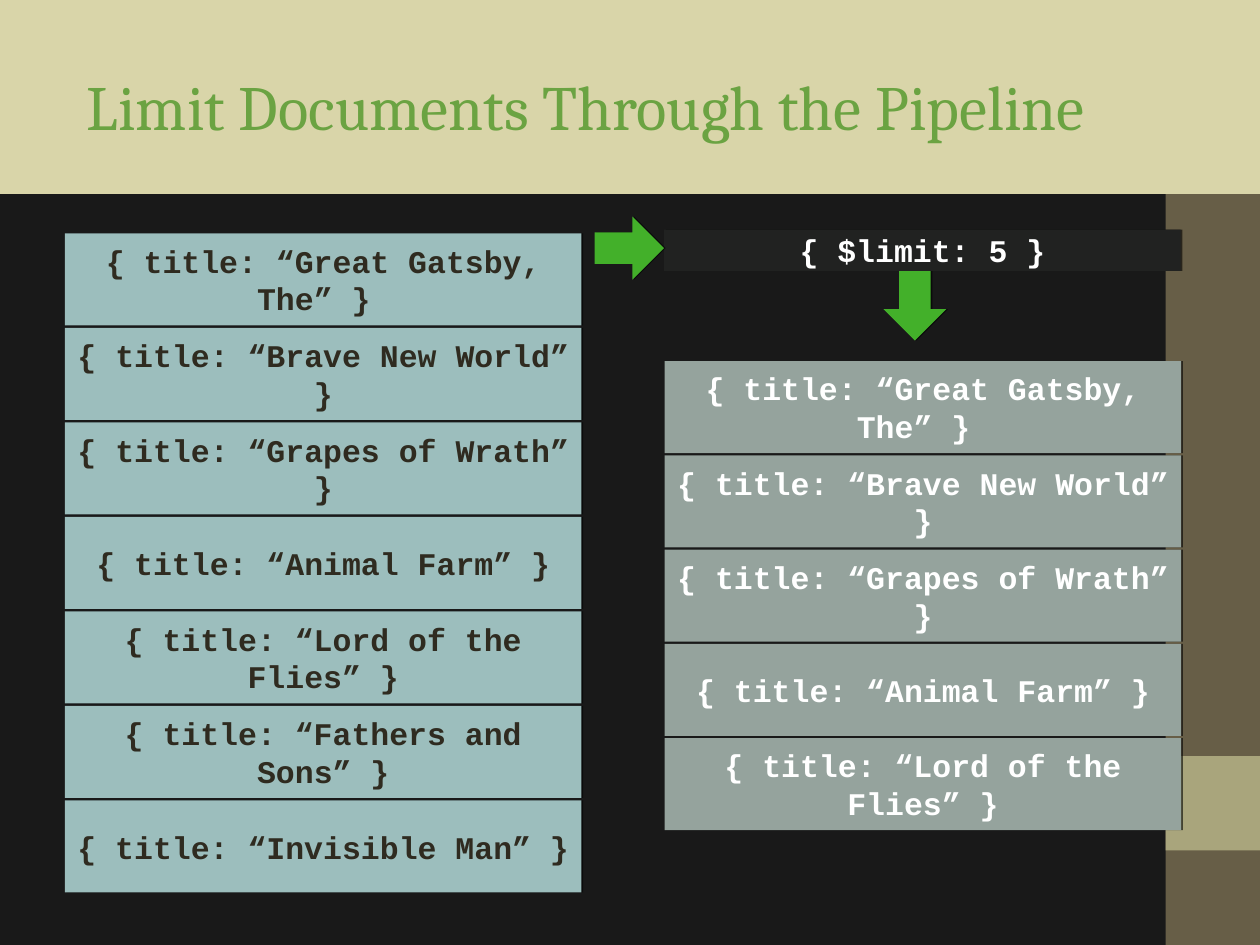
import pptx
import pptx.dml.color
import pptx.enum.shapes
import pptx.enum.text
import pptx.util
from lxml import etree

Pt = pptx.util.Pt
SHAPE = pptx.enum.shapes.MSO_SHAPE
ALIGN = pptx.enum.text.PP_ALIGN
ANCHOR = pptx.enum.text.MSO_ANCHOR
DRAWING = "{http://schemas.openxmlformats.org/drawingml/2006/main}"


def rgb(value):
    return pptx.dml.color.RGBColor.from_string(value)


class PipelineSlide:
    heading_font = "Cambria"
    code_font = "Courier New"
    row_width = 295.2
    row_height = 52.6

    def __init__(self, slide, background):
        self.slide = slide
        slide.background.fill.solid()
        slide.background.fill.fore_color.rgb = rgb(background)

    def block(self, left, top, width, height, color, kind=SHAPE.RECTANGLE, shadow=True):
        block = self.slide.shapes.add_shape(kind, Pt(left), Pt(top), Pt(width), Pt(height))
        block.fill.solid()
        block.fill.fore_color.rgb = rgb(color)
        block.line.fill.background()
        block.shadow.inherit = False
        if shadow:
            effects = block._element.spPr.find(DRAWING + "effectLst")
            outer = etree.SubElement(effects, DRAWING + "outerShdw", blurRad="0", dist="12700", dir="0")
            tint = etree.SubElement(outer, DRAWING + "srgbClr", val="000000")
            etree.SubElement(tint, DRAWING + "alpha", val="60000")
        return block

    def style(self, paragraph, font, size, color, bold=False):
        for run in paragraph.runs:
            run.font.name = font
            run.font.size = Pt(size)
            run.font.bold = bold
            run.font.color.rgb = rgb(color)

    def heading(self, text, left, top, width, height, color):
        heading = self.slide.shapes.add_textbox(Pt(left), Pt(top), Pt(width), Pt(height))
        frame = heading.text_frame
        frame.word_wrap = True
        frame.vertical_anchor = ANCHOR.MIDDLE
        frame.margin_left = frame.margin_right = frame.margin_top = frame.margin_bottom = 0
        frame.text = text
        self.style(frame.paragraphs[0], self.heading_font, 36, color)

    def code(self, text, left, top, height, fill, color):
        frame = self.block(left, top, self.row_width, height, fill).text_frame
        frame.word_wrap = True
        frame.vertical_anchor = ANCHOR.MIDDLE
        frame.text = text
        frame.paragraphs[0].alignment = ALIGN.CENTER
        self.style(frame.paragraphs[0], self.code_font, 18, color, True)

    def documents(self, titles, left, top, pitch, fill, color):
        for index, title in enumerate(titles):
            self.code(title, left, top + index * pitch, self.row_height, fill, color)

    def arrow(self, left, top, rotation=0):
        arrow = self.block(left, top, 39.6, 36, "43B02A", SHAPE.RIGHT_ARROW)
        arrow.rotation = rotation


def main():
    deck = pptx.Presentation()
    deck.slide_width, deck.slide_height = Pt(720), Pt(540)
    page = PipelineSlide(deck.slides.add_slide(deck.slide_layouts[6]), "191919")

    page.block(666, 0, 54, 540, "675E47", shadow=False)
    page.block(666, 432, 54, 54, "A9A57C", shadow=False)
    page.block(0, 0, 720, 110.9, "D9D5A9")
    page.heading("Limit Documents Through the Pipeline", 49.7, 26.6, 622, 67, "6BA342")

    books = [
        "{ title: “Great Gatsby, The” } ",
        "{ title: “Brave New World” }",
        "{ title: “Grapes of Wrath” }",
        "{ title: “Animal Farm” }",
        "{ title: “Lord of the Flies” }",
        "{ title: “Fathers and Sons” }",
        "{ title: “Invisible Man” }",
    ]
    limit = 5
    page.code(f"{{ $limit: {limit} }}", 379.5, 131.2, 23.6, "212221", "FFFFFF")
    page.arrow(339.8, 123.8)
    page.arrow(503, 156.8, 90)
    page.documents(books[:limit], 379.8, 206.4, 53.85, "95A39D", "FFFFFF")
    page.documents(books, 37.1, 133.4, 54, "9CBEBD", "2F2B20")

    deck.save("out.pptx")


if __name__ == "__main__":
    main()
